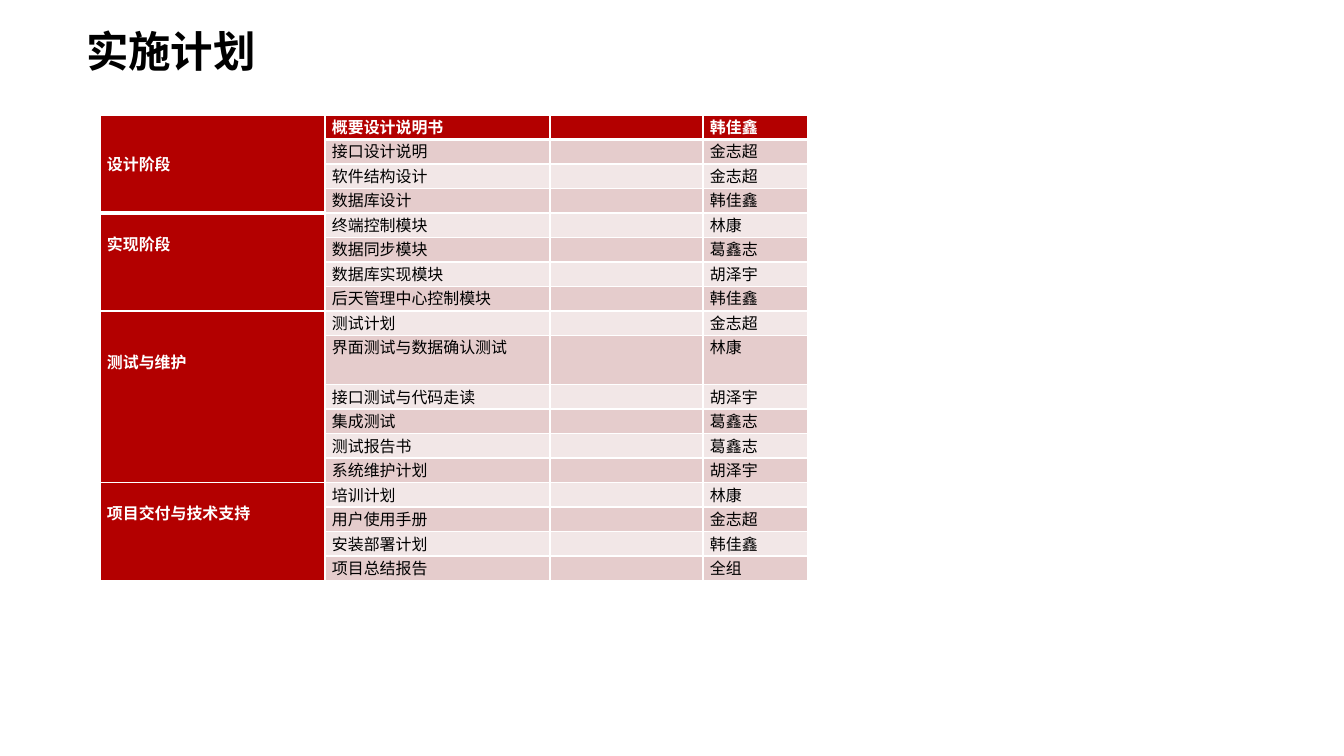
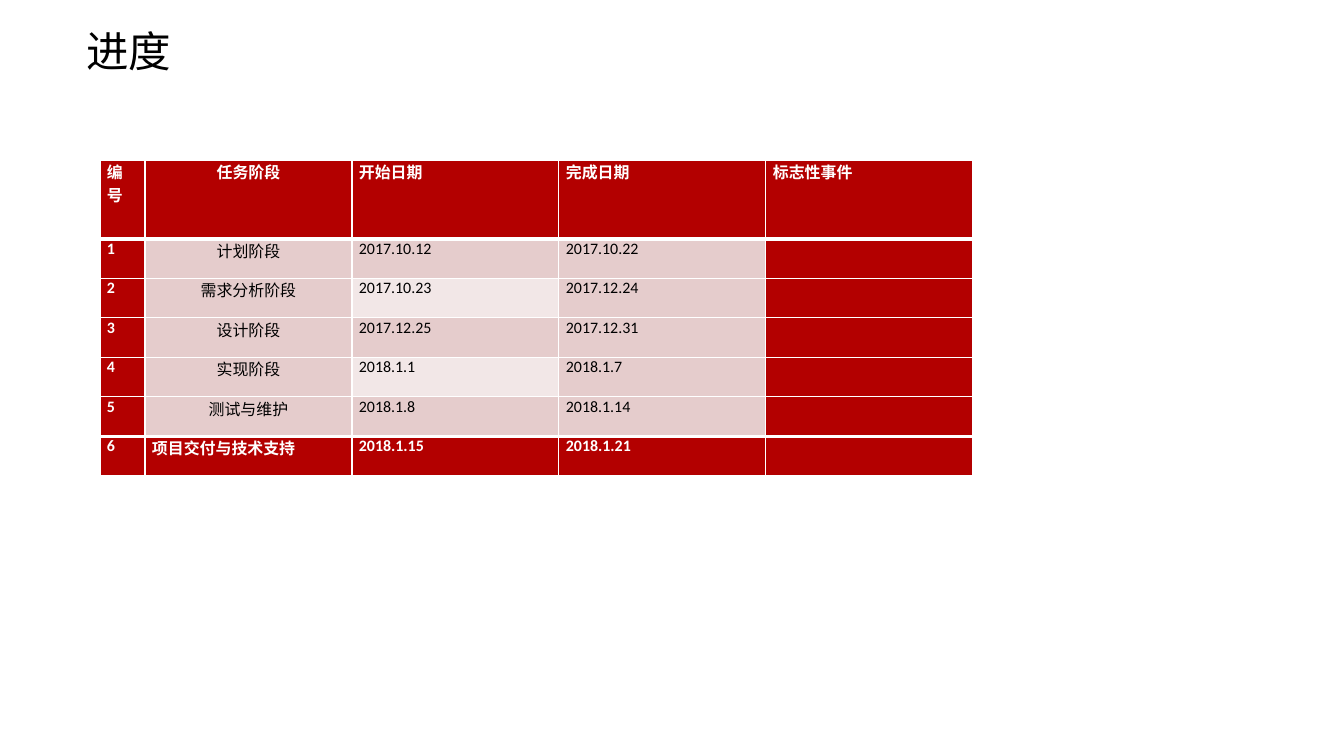
from lxml import etree
from pptx import Presentation
from pptx.dml.color import RGBColor
from pptx.enum.text import MSO_ANCHOR, MSO_AUTO_SIZE, PP_ALIGN
from pptx.oxml.ns import qn
from pptx.util import Pt

PX = 9565  # EMU per px
SLIDE_SIZE = (1344, 756)
TITLE_BOX = (86, 25, 293, 51)
TABLE_LEFT = 100
CELL_INSET = 7
FONT = "Calibri"
TITLE_PT, BODY_PT = 32, 12
THIN_PT, HEAVY_PT = 1, 3

BLACK = RGBColor(0x00, 0x00, 0x00)
WHITE = RGBColor(0xFF, 0xFF, 0xFF)
RED = RGBColor(0xB3, 0x00, 0x00)
PINK = RGBColor(0xE5, 0xCC, 0xCC)
PALE = RGBColor(0xF2, 0xE7, 0xE7)

LEFT, CENTER, JUSTIFY = PP_ALIGN.LEFT, PP_ALIGN.CENTER, PP_ALIGN.JUSTIFY
TOP, MIDDLE = MSO_ANCHOR.TOP, MSO_ANCHOR.MIDDLE
GROW = MSO_AUTO_SIZE.SHAPE_TO_FIT_TEXT
TITLE_ONLY = 5

# phase, drop of its label in px (None: centred), tasks with their owners
PHASES = [
    ("设计阶段", None, [
        ("概要设计说明书", "韩佳鑫"),
        ("接口设计说明", "金志超"),
        ("软件结构设计", "金志超"),
        ("数据库设计", "韩佳鑫"),
    ]),
    ("实现阶段", 19, [
        ("终端控制模块", "林康"),
        ("数据同步模块", "葛鑫志"),
        ("数据库实现模块", "胡泽宇"),
        ("后天管理中心控制模块", "韩佳鑫"),
    ]),
    ("测试与维护", 39, [
        ("测试计划", "金志超"),
        ("界面测试与数据确认测试", "林康"),
        ("接口测试与代码走读", "胡泽宇"),
        ("集成测试", "葛鑫志"),
        ("测试报告书", "葛鑫志"),
        ("系统维护计划", "胡泽宇"),
    ]),
    ("项目交付与技术支持", 19, [
        ("培训计划", "林康"),
        ("用户使用手册", "金志超"),
        ("安装部署计划", "韩佳鑫"),
        ("项目总结报告", "全组"),
    ]),
]
PLAN_TOP, PLAN_HEIGHT = 115, 466
PLAN_COLUMNS = [225, 225, 153, 105]
TALL_TASK = 9

SCHEDULE = [
    ("编号", "任务阶段", "开始日期", "完成日期", "标志性事件"),
    ("1", "计划阶段", "2017.10.12", "2017.10.22", ""),
    ("2", "需求分析阶段", "2017.10.23", "2017.12.24", ""),
    ("3", "设计阶段", "2017.12.25", "2017.12.31", ""),
    ("4", "实现阶段", "2018.1.1", "2018.1.7", ""),
    ("5", "测试与维护", "2018.1.8", "2018.1.14", ""),
    ("6", "项目交付与技术支持", "2018.1.15", "2018.1.21", ""),
]
SCHEDULE_TOP, SCHEDULE_HEIGHT = 160, 316
SCHEDULE_COLUMNS = [45, 207, 207, 207, 207]


def add_run(paragraph, text, size, color, bold):
    run = paragraph.add_run()
    run.text = text
    run.font.name = FONT
    run.font.size = Pt(size)
    run.font.bold = bold
    run.font.color.rgb = color


def add_titled_slide(deck, text, bold):
    slide = deck.slides.add_slide(deck.slide_layouts[TITLE_ONLY])
    title = slide.shapes.title
    title.left, title.top, title.width, title.height = (v * PX for v in TITLE_BOX)
    frame = title.text_frame
    frame.margin_left = frame.margin_top = frame.margin_right = frame.margin_bottom = 0
    frame.vertical_anchor = MIDDLE
    frame.word_wrap = True
    frame.auto_size = GROW
    paragraph = frame.paragraphs[0]
    paragraph.alignment = LEFT
    add_run(paragraph, text, TITLE_PT, BLACK, bold)
    return slide


def add_plain_table(slide, top, height, columns, row_weights):
    """Add an unbanded table whose rows share the height by weight."""
    table = slide.shapes.add_table(
        len(row_weights), len(columns),
        TABLE_LEFT * PX, top * PX, sum(columns) * PX, height * PX).table
    table.first_row = table.horz_banding = False
    for column, width in zip(table.columns, columns):
        column.width = width * PX
    for row, weight in zip(table.rows, row_weights):
        row.height = height * PX * weight // sum(row_weights)
    return table


def set_borders(cell, heavy_top, heavy_bottom):
    properties = cell._tc.get_or_add_tcPr()
    sides = {"lnL": False, "lnR": False, "lnT": heavy_top, "lnB": heavy_bottom}
    for side, heavy in sides.items():
        width = Pt(HEAVY_PT if heavy else THIN_PT)
        line = etree.SubElement(properties, qn(f"a:{side}"), w=str(width))
        fill = etree.SubElement(line, qn("a:solidFill"))
        etree.SubElement(fill, qn("a:srgbClr"), val=str(WHITE))


def fill_cell(cell, text, fill, align, heavy_top=False, heavy_bottom=False,
              anchor=TOP, drop=0):
    """Format one cell; red cells carry bold white text."""
    set_borders(cell, heavy_top, heavy_bottom)
    cell.fill.solid()
    cell.fill.fore_color.rgb = fill
    cell.margin_left = cell.margin_right = CELL_INSET * PX
    cell.margin_top, cell.margin_bottom = drop * PX, 0
    cell.vertical_anchor = anchor
    paragraph = cell.text_frame.paragraphs[0]
    paragraph.alignment = align
    if text:
        strong = fill == RED
        add_run(paragraph, text, BODY_PT, WHITE if strong else BLACK, strong)
    else:
        etree.SubElement(paragraph._p, qn("a:endParaRPr"), sz=str(BODY_PT * 100))


def band(row):
    return PINK if row % 2 else PALE


def build_plan(deck):
    slide = add_titled_slide(deck, "实施计划", True)
    task_count = sum(len(tasks) for _, _, tasks in PHASES)
    weights = [2 if row == TALL_TASK else 1 for row in range(task_count)]
    table = add_plain_table(slide, PLAN_TOP, PLAN_HEIGHT, PLAN_COLUMNS, weights)
    first = 0
    for index, (phase, drop, tasks) in enumerate(PHASES):
        label = table.cell(first, 0)
        label.merge(table.cell(first + len(tasks) - 1, 0))
        fill_cell(label, phase, RED, JUSTIFY if drop else LEFT,
                  heavy_top=index == 1, heavy_bottom=index == 0,
                  anchor=TOP if drop else MIDDLE, drop=drop or 0)
        for row, (task, owner) in enumerate(tasks, first):
            for column, text in enumerate((task, "", owner), 1):
                fill_cell(table.cell(row, column), text, band(row) if row else RED,
                          JUSTIFY, heavy_top=row == 1, heavy_bottom=row == 0)
        first += len(tasks)


def build_schedule(deck):
    slide = add_titled_slide(deck, "进度", False)
    last_row, last_column = len(SCHEDULE) - 1, len(SCHEDULE_COLUMNS) - 1
    table = add_plain_table(slide, SCHEDULE_TOP, SCHEDULE_HEIGHT,
                            SCHEDULE_COLUMNS, [2] + [1] * last_row)
    for row, texts in enumerate(SCHEDULE):
        for column, text in enumerate(texts):
            if row in (0, last_row) or column in (0, last_column):
                fill = RED
            else:
                fill = band(row) if column == 2 else PINK
            centered = column == 1 and row < last_row
            fill_cell(table.cell(row, column), text, fill,
                      CENTER if centered else LEFT,
                      heavy_top=row in (1, last_row),
                      heavy_bottom=row in (0, last_row - 1))


def main():
    deck = Presentation()
    deck.slide_width, deck.slide_height = (v * PX for v in SLIDE_SIZE)
    build_plan(deck)
    build_schedule(deck)
    deck.save("out.pptx")


if __name__ == "__main__":
    main()
